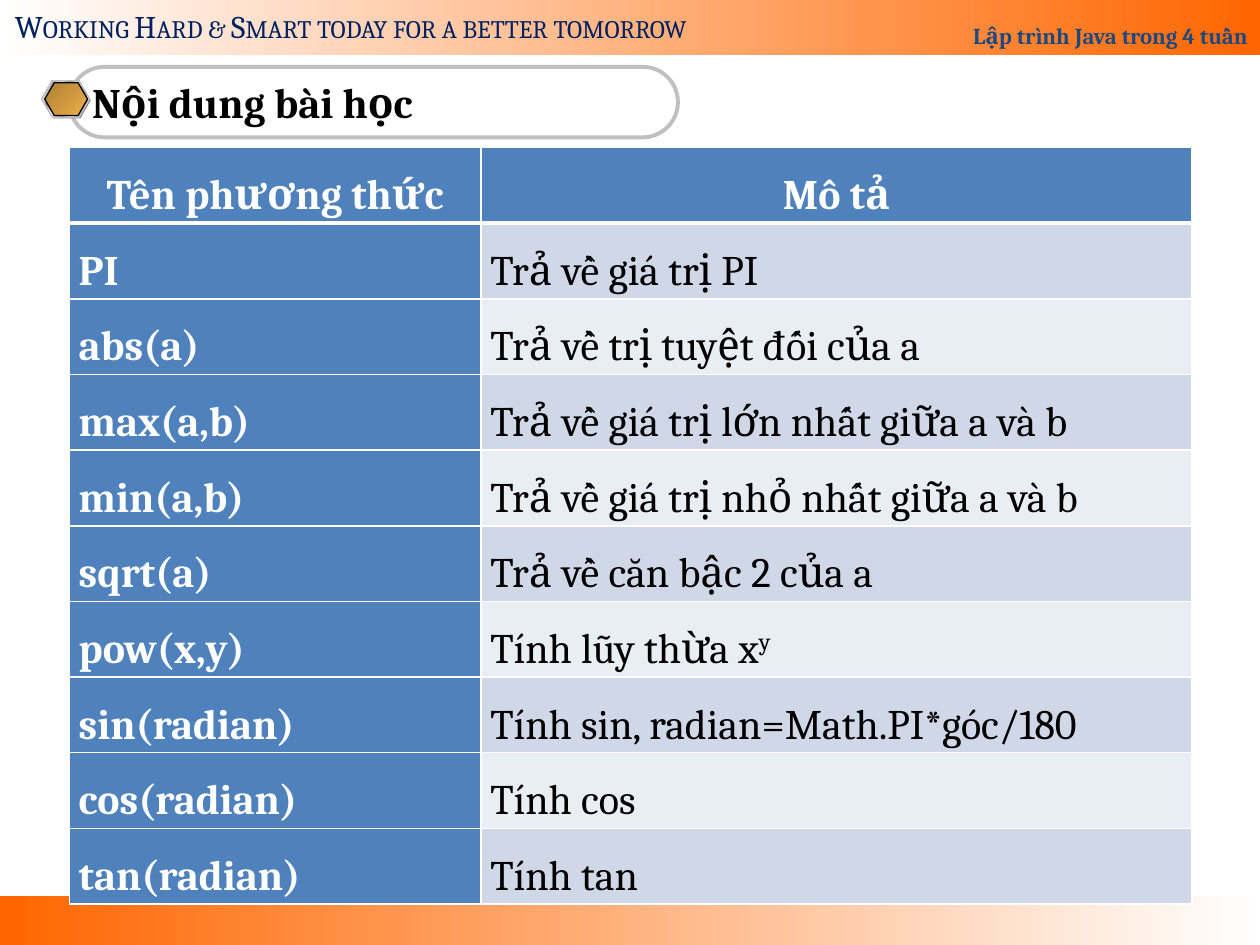
from lxml.etree import SubElement
from pptx import Presentation
from pptx.dml.color import RGBColor
from pptx.enum.shapes import MSO_SHAPE as Shape
from pptx.enum.text import MSO_ANCHOR as Anchor, MSO_AUTO_SIZE as AutoSize, PP_ALIGN as Align
from pptx.oxml.ns import qn
from pptx.util import Pt

# Content
COURSE = "Lập trình Java trong 4 tuần"
MOTTO = "Working Hard & Smart today for a better tomorrow"
TITLE = "Nội dung bài học"
HEADER = ("Tên phương thức", "Mô tả")
METHODS = [
    ("PI", "Trả về giá trị PI"),
    ("abs(a)", "Trả về trị tuyệt đối của a"),
    ("max(a,b)", "Trả về giá trị lớn nhất giữa a và b"),
    ("min(a,b)", "Trả về giá trị nhỏ nhất giữa a và b"),
    ("sqrt(a)", "Trả về căn bậc 2 của a"),
    ("pow(x,y)", "Tính lũy thừa x", "y"),  # third part is a superscript
    ("sin(radian)", "Tính sin, radian=Math.PI*góc/180"),
    ("cos(radian)", "Tính cos"),
    ("tan(radian)", "Tính tan"),
]

# Look
FONT = "Cambria"
BLACK = RGBColor(0x00, 0x00, 0x00)
WHITE = RGBColor(0xFF, 0xFF, 0xFF)
ORANGE = RGBColor(0xFF, 0x66, 0x00)
NAVY = RGBColor(0x00, 0x20, 0x60)
DARK_BLUE = RGBColor(0x1F, 0x49, 0x7D)
BLUE = RGBColor(0x4F, 0x81, 0xBD)
STRIPES = (RGBColor(0xD0, 0xD8, 0xE8), RGBColor(0xE9, 0xED, 0xF4))
GRAY = RGBColor(0x80, 0x80, 0x80)
SILVER = RGBColor(0xC0, 0xC0, 0xC0)
LIGHT = RGBColor(0xE6, 0xE6, 0xE6)
STEEL = RGBColor(0x7D, 0x84, 0x96)
BRONZE = RGBColor(0xAB, 0x7E, 0x34)
GOLD = RGBColor(0xEF, 0xB0, 0x49)
CHROME = [(0, LIGHT), (7, STEEL), (26, LIGHT), (34, STEEL), (46, LIGHT), (50, WHITE),
          (54, LIGHT), (66, STEEL), (74, LIGHT), (93, STEEL), (100, LIGHT)]

# Layout in points
WIDTH, HEIGHT = 720, 540
PILL = (39.6, 38.2, 347.8, 40.3)
TABLE_LEFT, TABLE_TOP = 39.6, 84.3
COLUMNS = (235.2, 406.5)
ROW_HEIGHT = 43.2


def paint(shape, stops, angle=0):
    """Linear gradient; stops are (percent, colour), angle is clockwise."""
    shape.fill.gradient()
    gradient = shape._element.spPr.find(qn("a:gradFill"))
    stop_list = gradient.find(qn("a:gsLst"))
    for old in list(stop_list):
        stop_list.remove(old)
    for percent, color in stops:
        stop = SubElement(stop_list, qn("a:gs"), pos=str(percent * 1000))
        SubElement(stop, qn("a:srgbClr"), val=str(color))
    gradient.find(qn("a:lin")).set("ang", str(angle * 60000))


def add_plain(slide, kind, place, line=None, weight=0.75):
    shape = slide.shapes.add_shape(kind, *map(Pt, place))
    shape.shadow.inherit = False
    if line is None:
        shape.line.fill.background()
    else:
        shape.line.color.rgb = line
        shape.line.width = Pt(weight)
    return shape


def style(span, size, color, bold=False, **extra):
    font = span.font
    font.name, font.size, font.bold = FONT, Pt(size), bold
    font.color.rgb = color
    for name, value in extra.items():
        span._r.get_or_add_rPr().set(name, value)


def add_borders(cell, top, bottom):
    cell_props = cell._tc.get_or_add_tcPr()
    for side, weight in (("L", 1), ("R", 1), ("T", top), ("B", bottom)):
        line = SubElement(cell_props, qn(f"a:ln{side}"), w=str(Pt(weight)))
        fill = SubElement(line, qn("a:solidFill"))
        SubElement(fill, qn("a:srgbClr"), val=str(WHITE))


def fill_cell(cell, parts, row, column):
    header = row == 0
    label = header or column == 0
    add_borders(cell, top=3 if row == 1 else 1, bottom=3 if header else 1)
    cell.fill.solid()
    cell.fill.fore_color.rgb = BLUE if label else STRIPES[(row - 1) % 2]
    cell.margin_left = cell.margin_right = Pt(5.4)
    cell.margin_top = cell.margin_bottom = 0
    para = cell.text_frame.paragraphs[0]
    para.alignment = Align.CENTER if header else Align.JUSTIFY
    para.line_spacing = 1.5
    for index, text in enumerate(parts):
        span = para.add_run()
        span.text = text
        extra = {"baseline": "30000"} if index else {}
        style(span, 24, WHITE if label else BLACK, label, **extra)


def main():
    deck = Presentation()
    deck.slide_width, deck.slide_height = Pt(WIDTH), Pt(HEIGHT)
    page = deck.slides.add_slide(deck.slide_layouts[5])

    # Bands along the bottom and top edges
    footer = add_plain(page, Shape.RECTANGLE, (0, 511.9, WIDTH, 28.1))
    paint(footer, [(0, ORANGE), (100, WHITE)])
    banner = add_plain(page, Shape.RECTANGLE, (0, 0, WIDTH, 31.5))
    paint(banner, [(0, WHITE), (100, ORANGE)])
    frame = banner.text_frame
    frame.text = COURSE
    frame.vertical_anchor = Anchor.BOTTOM
    para = frame.paragraphs[0]
    para.alignment = Align.RIGHT
    para.line_spacing = 1.8
    style(para.runs[0], 13, DARK_BLUE, True)

    # Motto
    motto = page.shapes.add_textbox(*map(Pt, (1.4, 0.7, 424.8, 28.8)))
    motto.text_frame.text = MOTTO
    motto.text_frame.word_wrap = False
    style(motto.text_frame.paragraphs[0].runs[0], 18, NAVY, cap="small")

    # Title in its rounded outline
    pill = add_plain(page, Shape.ROUNDED_RECTANGLE, PILL, SILVER, 2.25)
    pill.adjustments[0] = 0.5
    pill.fill.background()
    title = page.shapes.title
    title.left, title.top, title.width, title.height = map(Pt, PILL)
    frame = title.text_frame
    frame.text = TITLE
    frame.auto_size = AutoSize.NONE
    frame.vertical_anchor = Anchor.MIDDLE
    frame.margin_left = Pt(13.1)
    frame.paragraphs[0].alignment = Align.LEFT
    style(frame.paragraphs[0].runs[0], 24, BLACK, True)

    # Hexagon badge: shadow, chrome rim, gold face
    badge = [
        ((24.5, 46.8, 27.4, 20.9), None, None),
        ((23.8, 46.1, 27.4, 20.9), SILVER, CHROME),
        ((25.6, 47.3, 24.5, 18.7), BLACK, [(0, BRONZE), (100, GOLD)]),
    ]
    for place, line, stops in badge:
        hexagon = add_plain(page, Shape.HEXAGON, place, line)
        hexagon.adjustments[0] = 0.289
        if stops:
            paint(hexagon, stops, 45)
        else:
            hexagon.fill.solid()
            hexagon.fill.fore_color.rgb = GRAY

    # Table of methods
    rows = [HEADER] + METHODS
    table = page.shapes.add_table(
        len(rows), len(COLUMNS), Pt(TABLE_LEFT), Pt(TABLE_TOP),
        Pt(sum(COLUMNS)), Pt(ROW_HEIGHT * len(rows))).table
    for column, width in zip(table.columns, COLUMNS):
        column.width = Pt(width)
    for index, (name, *description) in enumerate(rows):
        table.rows[index].height = Pt(ROW_HEIGHT)
        for column, parts in enumerate(([name], description)):
            fill_cell(table.cell(index, column), parts, index, column)

    deck.save("out.pptx")


if __name__ == "__main__":
    main()
